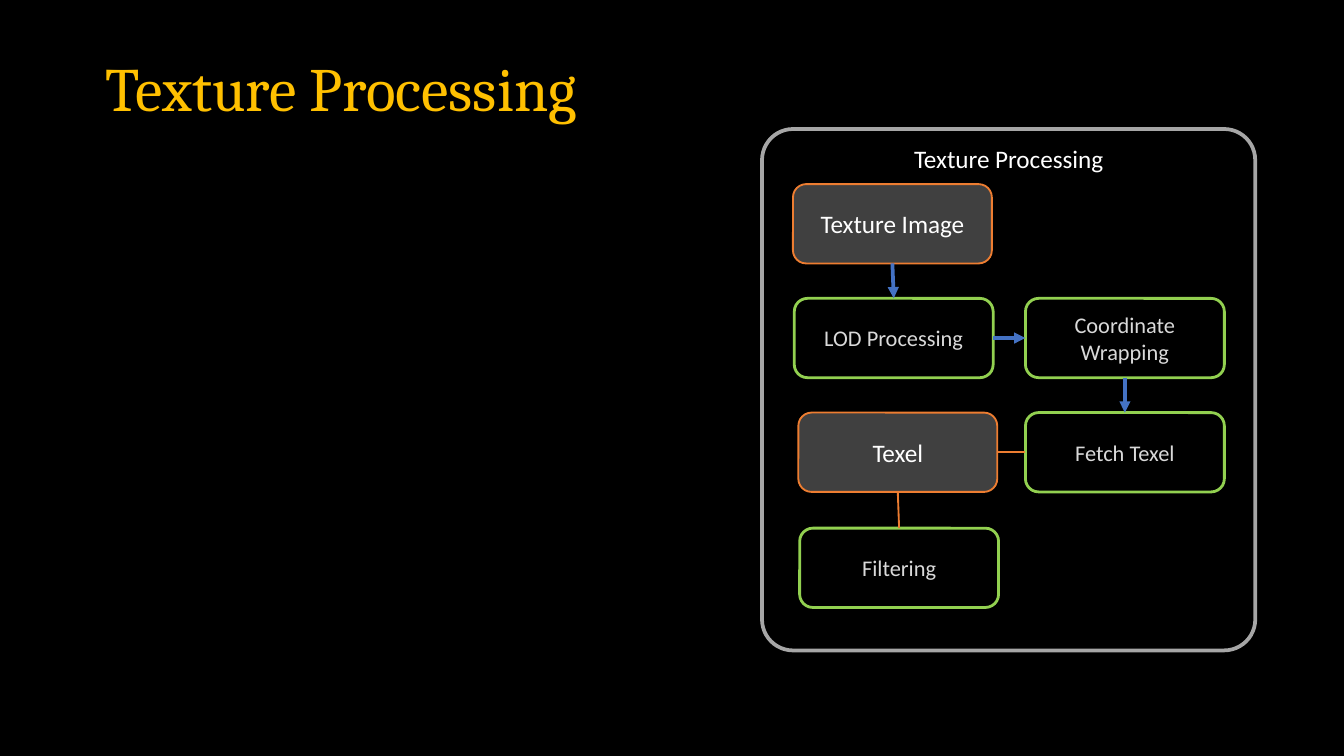
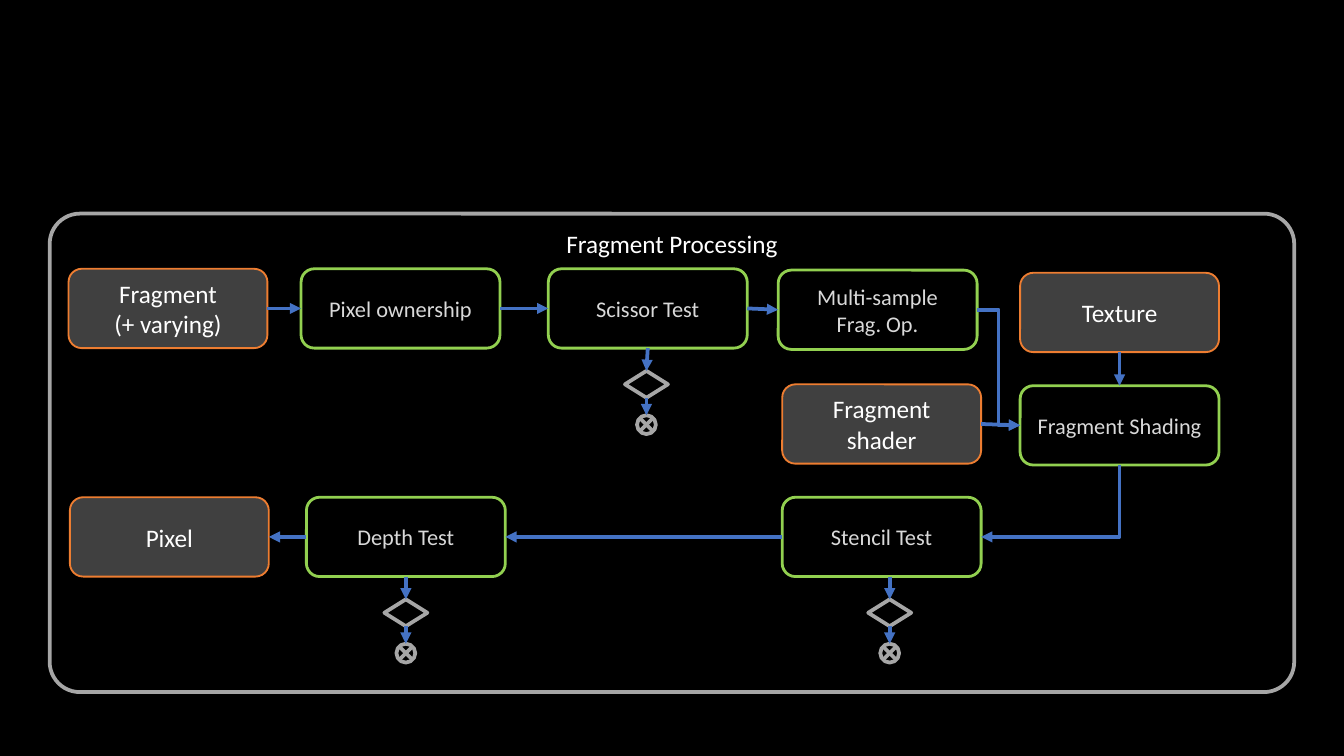
from dataclasses import dataclass

from lxml import etree
from pptx import Presentation
from pptx import util as u
from pptx.dml.color import RGBColor
from pptx.enum import shapes, text
from pptx.oxml.ns import qn


@dataclass(frozen=True)
class Theme:
    background: str = "000000"
    title: str = "FFC000"
    white: str = "FFFFFF"
    step_text: str = "D9D9D9"
    frame: str = "A6A6A6"
    step: str = "92D050"
    data: str = "ED7D31"
    data_fill: str = "404040"
    flow: str = "4472C4"
    title_font: str = "Cambria"
    body_font: str = "Calibri"
    title_size: float = 33
    data_size: float = 13.5
    step_size: float = 12


theme = Theme()
rgb = RGBColor.from_string
kinds, links = shapes.MSO_SHAPE, shapes.MSO_CONNECTOR
TOP, LEFT, BOTTOM, RIGHT = range(4)  # connection sites
NODE_W, NODE_H = 1.48, 0.59

# role: fill, line colour, line width, text colour, text size, anchor
ROLES = {
    "frame": (None, theme.frame, 2, theme.white, theme.data_size, text.MSO_ANCHOR.TOP),
    "data": (theme.data_fill, theme.data, 1, theme.white, theme.data_size, text.MSO_ANCHOR.MIDDLE),
    "step": (theme.background, theme.step, 1.5, theme.step_text, theme.step_size, text.MSO_ANCHOR.MIDDLE),
}


def box(slide, role, left, top, width=NODE_W, height=NODE_H, label="", kind=kinds.ROUNDED_RECTANGLE):
    """Outlined shape; in a label, \\n starts a paragraph and | breaks a line."""
    fill, line, weight, colour, size, anchor = ROLES[role]
    shape = slide.shapes.add_shape(kind, *map(u.Inches, (left, top, width, height)))
    shape.shadow.inherit = False
    if fill:
        shape.fill.solid()
        shape.fill.fore_color.rgb = rgb(fill)
    else:
        shape.fill.background()
    shape.line.color.rgb = rgb(line)
    shape.line.width = u.Pt(weight)
    if not label:
        return shape
    frame = shape.text_frame
    frame.word_wrap = True
    frame.vertical_anchor = anchor
    frame.margin_left = frame.margin_right = u.Inches(0.08)
    frame.margin_top = frame.margin_bottom = u.Inches(0.04)
    for i, words in enumerate(label.split("\n")):
        paragraph = frame.paragraphs[0] if i == 0 else frame.add_paragraph()
        paragraph.alignment = text.PP_ALIGN.CENTER
        for j, part in enumerate(words.split("|")):
            if j:
                paragraph.add_line_break()
            run = paragraph.add_run()
            run.text = part
            run.font.name = theme.body_font
            run.font.size = u.Pt(size)
            run.font.color.rgb = rgb(colour)
    return shape


def link(slide, start, leave, end, enter, kind=links.STRAIGHT, colour=theme.flow, weight=2, arrow=True):
    """Connector between two shapes, glued to their sites."""
    connector = slide.shapes.add_connector(kind, 0, 0, 0, 0)
    connector.begin_connect(start, leave)
    connector.end_connect(end, enter)
    connector.line.color.rgb = rgb(colour)
    connector.line.width = u.Pt(weight)
    properties = connector._element.spPr
    if arrow:
        etree.SubElement(properties.find(qn("a:ln")), qn("a:tailEnd"), type="triangle")
    etree.SubElement(properties, qn("a:effectLst"))
    return connector


prs = Presentation()
prs.slide_width, prs.slide_height = u.Inches(10), u.Inches(5.625)
texture_slide, fragment_slide = [prs.slides.add_slide(prs.slide_layouts[6]) for _ in range(2)]
for slide in (texture_slide, fragment_slide):
    slide.background.fill.solid()
    slide.background.fill.fore_color.rgb = rgb(theme.background)

# Slide 1: title
heading = texture_slide.shapes.add_textbox(*map(u.Inches, (0.69, 0.3, 8.62, 0.76))).text_frame
heading.word_wrap = True
heading.vertical_anchor = text.MSO_ANCHOR.MIDDLE
heading.margin_left = heading.margin_right = u.Inches(0.1)
heading.margin_top = heading.margin_bottom = u.Inches(0.04)
heading.paragraphs[0].line_spacing = 0.9
run = heading.paragraphs[0].add_run()
run.text = "Texture Processing"
run.font.name = theme.title_font
run.font.size = u.Pt(theme.title_size)
run.font.color.rgb = rgb(theme.title)

# Frames and their nodes: name, role, left, top, label
diagrams = [
    (texture_slide, (5.67, 0.96, 3.67, 3.88), "Texture Processing", [
        ("image", "data", 5.9, 1.37, "Texture Image"),
        ("lod", "step", 5.91, 2.22, "LOD Processing"),
        ("wrapping", "step", 7.63, 2.22, "Coordinate|Wrapping"),
        ("fetch", "step", 7.63, 3.07, "Fetch Texel"),
        ("texel", "data", 5.94, 3.07, "Texel"),
        ("filtering", "step", 5.95, 3.93, "Filtering"),
    ]),
    (fragment_slide, (0.37, 1.59, 9.26, 3.56), "Fragment Processing", [
        ("fragment", "data", 0.51, 2, "Fragment|(+ varying)"),
        ("ownership", "step", 2.24, 2, "Pixel ownership"),
        ("scissor", "step", 4.08, 2, "Scissor Test"),
        ("multisample", "step", 5.79, 2.01, "Multi-sample\nFrag. Op."),
        ("texture", "data", 7.59, 2.03, "Texture"),
        ("shader", "data", 5.82, 2.86, "Fragment shader"),
        ("shading", "step", 7.59, 2.87, "Fragment Shading"),
        ("stencil", "step", 5.82, 3.7, "Stencil Test"),
        ("depth", "step", 2.28, 3.7, "Depth Test"),
        ("pixel", "data", 0.52, 3.7, "Pixel"),
    ]),
]
nodes = {}
for slide, place, caption, members in diagrams:
    box(slide, "frame", *place, label=caption).adjustments[0] = 0.063
    for name, role, left, top, label in members:
        nodes[name] = box(slide, role, left, top, label=label)

# Arrows of both flows
for slide, start, leave, end, enter in [
    (texture_slide, "image", BOTTOM, "lod", TOP),
    (texture_slide, "lod", RIGHT, "wrapping", LEFT),
    (texture_slide, "wrapping", BOTTOM, "fetch", TOP),
    (fragment_slide, "fragment", RIGHT, "ownership", LEFT),
    (fragment_slide, "ownership", RIGHT, "scissor", LEFT),
    (fragment_slide, "scissor", RIGHT, "multisample", LEFT),
    (fragment_slide, "texture", BOTTOM, "shading", TOP),
    (fragment_slide, "shader", RIGHT, "shading", LEFT),
    (fragment_slide, "stencil", LEFT, "depth", RIGHT),
    (fragment_slide, "depth", LEFT, "pixel", RIGHT),
]:
    link(slide, nodes[start], leave, nodes[end], enter)

# Plain lines around the texel
for start, leave, end, enter in [("fetch", LEFT, "texel", RIGHT), ("texel", BOTTOM, "filtering", TOP)]:
    link(texture_slide, nodes[start], leave, nodes[end], enter, colour=theme.data, weight=1, arrow=False)

# Bent arrows into and out of shading
link(fragment_slide, nodes["multisample"], RIGHT, nodes["shading"], LEFT, links.ELBOW)
corner = link(fragment_slide, nodes["shading"], BOTTOM, nodes["stencil"], RIGHT, links.ELBOW)
across, down = corner.width, corner.height
corner.left, corner.top = corner.left + (across - down) // 2, corner.top + (down - across) // 2
corner.width, corner.height = down, across
frame = corner._element.spPr.find(qn("a:xfrm"))
frame.attrib.pop("flipH", None)
frame.set("rot", str(90 * 60000))
corner._element.spPr.find(qn("a:prstGeom")).set("prst", "bentConnector2")

# Discard branch under each test
for test, centre, bottom in [("scissor", 4.81, 2.59), ("stencil", 6.62, 4.29), ("depth", 3.02, 4.29)]:
    decision = box(fragment_slide, "frame", centre - 0.16, bottom + 0.17, 0.32, 0.2, kind=kinds.DIAMOND)
    discard = box(fragment_slide, "frame", centre - 0.07, bottom + 0.5, 0.14, 0.14,
                  kind=kinds.FLOWCHART_SUMMING_JUNCTION)
    drop = link(fragment_slide, nodes[test], BOTTOM, decision, TOP)
    if test == "stencil":  # leaves right of the node's middle
        drop._element.nvCxnSpPr.cNvCxnSpPr.remove(drop._element.nvCxnSpPr.cNvCxnSpPr.stCxn)
        drop.begin_x = u.Inches(centre)
    link(fragment_slide, decision, BOTTOM, discard, TOP)

prs.save("out.pptx")
